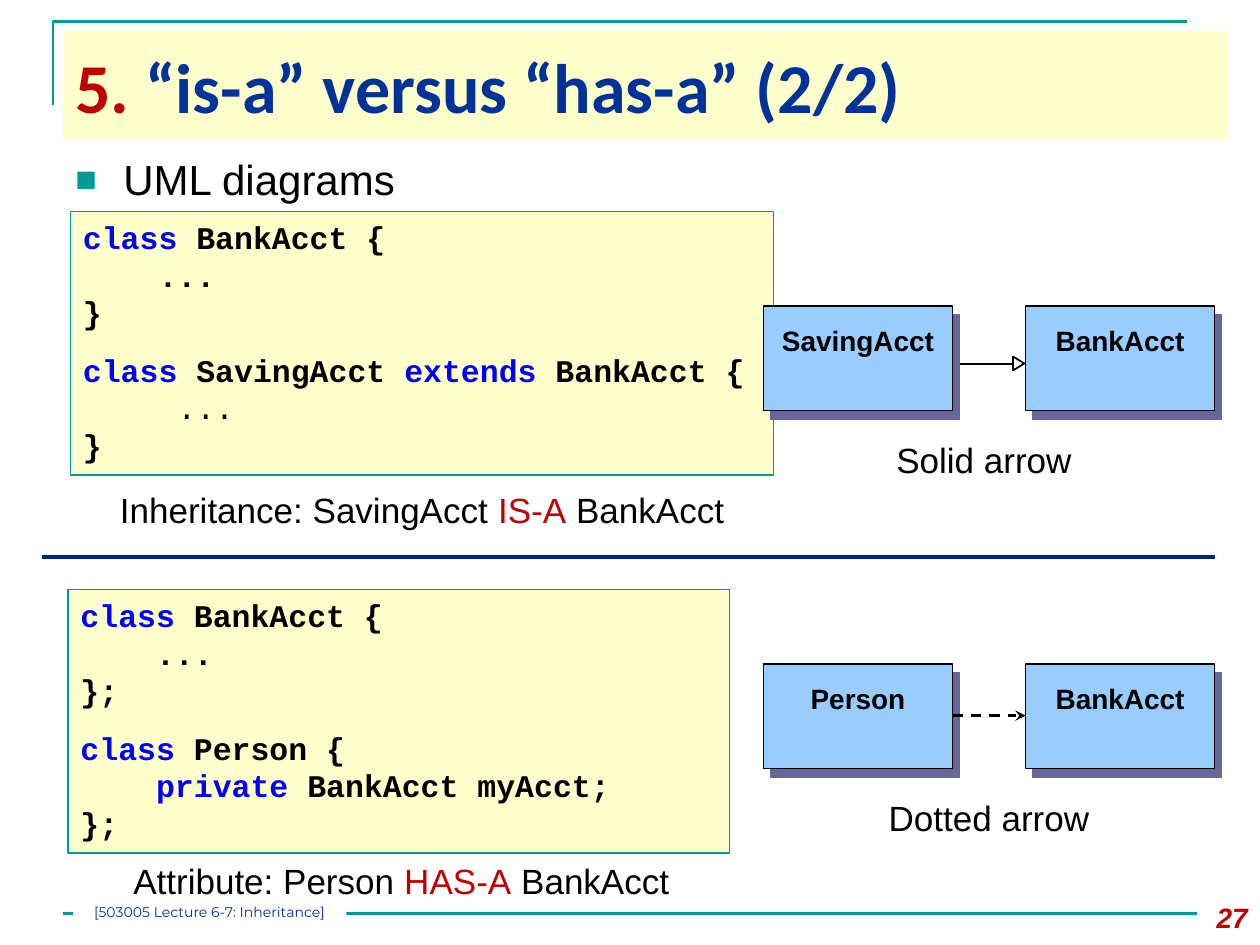
import lxml.etree
import pptx
import pptx.dml.color
import pptx.enum.dml
import pptx.enum.shapes
import pptx.enum.text
import pptx.oxml
import pptx.oxml.ns
import pptx.util

Inches = pptx.util.Inches
Pt = pptx.util.Pt
qn = pptx.oxml.ns.qn
SHAPE = pptx.enum.shapes.MSO_SHAPE
ALIGN = pptx.enum.text.PP_ALIGN
ANCHOR = pptx.enum.text.MSO_ANCHOR
DASH = pptx.enum.dml.MSO_LINE

COLORS = {
    "teal": "009999", "cream": "FFFFCC", "red": "C00000", "navy": "003399",
    "rule": "002672", "blue": "0000FF", "sky": "99CCFF", "shade": "666699",
    "black": "000000", "white": "FFFFFF",
}
FONTS = {
    "title": {"name": "Calibri", "size": Pt(40), "bold": True},
    "body": {"name": "Arial", "size": Pt(24)},
    "code": {"name": "Courier New", "size": Pt(18), "bold": True},
    "note": {"name": "Arial", "size": Pt(20)},
    "label": {"name": "Arial", "size": Pt(16), "bold": True},
    "page": {"name": "Arial", "size": Pt(16), "bold": True, "italic": True},
    "foot": {"name": "Montserrat", "size": Pt(8)},
}
BULLET = (
    ("buClr", {}), ("buSzPct", {"val": "85000"}),
    ("buFont", {"typeface": "Arial"}), ("buChar", {"char": "■"}),
)


def add_xml(parent, tag, **attrs):
    return lxml.etree.SubElement(parent, qn("a:" + tag), attrs)


def set_all(target, values):
    for key, value in values.items():
        setattr(target, key, value)


class Painter:
    """Holds the current slide and draws each kind of element in one style."""

    def __init__(self, slide):
        self.slide = slide
        self.shapes = slide.shapes

    def tint(self, name):
        return pptx.dml.color.RGBColor.from_string(COLORS[name])

    def stroke(self, line, color, width):
        line.color.rgb = self.tint(color)
        line.width = Pt(width)

    def box(self, place, fill, line=None, width=0.75, kind=SHAPE.RECTANGLE):
        shape = self.shapes.add_shape(kind, *map(Inches, place))
        shape.shadow.inherit = False
        shape.fill.solid()
        shape.fill.fore_color.rgb = self.tint(fill)
        if line:
            self.stroke(shape.line, line, width)
        else:
            shape.line.fill.background()
        return shape

    def text(self, place, lines, font, color="black", align=ALIGN.LEFT,
             wrap=True, shape=None, pad=(0.1, 0.05), anchor=ANCHOR.TOP):
        """Each line is a list of runs: a string, or a (string, color) pair."""
        shape = shape or self.shapes.add_textbox(*map(Inches, place))
        frame = shape.text_frame
        side, edge = map(Inches, pad)
        set_all(frame, {
            "word_wrap": wrap, "vertical_anchor": anchor,
            "margin_left": side, "margin_right": side,
            "margin_top": edge, "margin_bottom": edge,
        })
        for index, runs in enumerate(lines):
            para = frame.add_paragraph() if index else frame.paragraphs[0]
            para.alignment = align
            for item in runs:
                words, shade = (item, color) if isinstance(item, str) else item
                run = para.add_run()
                run.text = words
                set_all(run.font, FONTS[font])
                run.font.color.rgb = self.tint(shade)
        return frame

    def bullet(self, place, words):
        para = self.text(place, [[words]], "body").paragraphs[0]
        props = para._p.get_or_add_pPr()
        set_all_xml = {"marL": Inches(0.38), "indent": Inches(-0.38)}
        for key, value in set_all_xml.items():
            props.set(key, str(int(value)))
        for tag, attrs in BULLET:
            node = add_xml(props, tag, **attrs)
            if tag == "buClr":
                add_xml(node, "srgbClr", val=COLORS["teal"])

    def code(self, place, blocks):
        """Draws blocks of code lines, with a gap before each later block."""
        lines = [line for block in blocks for line in block]
        shape = self.box(place, "cream", "teal")
        frame = self.text(place, lines, "code", shape=shape)
        frame.paragraphs[len(blocks[0])].space_before = Pt(11)

    def note(self, place, *runs):
        self.text(place, [runs], "note", align=ALIGN.CENTER)

    def entity(self, left, top, name):
        """Draws a class box with a hard shadow and its name."""
        shape = self.box((left, top, 1.5, 0.83), "sky", "black",
                         kind=SHAPE.ROUNDED_RECTANGLE)
        shape.adjustments[0] = 0
        effects = shape._element.spPr.find(qn("a:effectLst"))
        shadow = add_xml(effects, "outerShdw", dist=str(int(Pt(6.4))),
                         dir=str(51 * 60000), algn="ctr", rotWithShape="0")
        add_xml(shadow, "srgbClr", val=COLORS["shade"])
        self.text((left, top + 0.09, 1.5, 0.37), [[name]], "label",
                  align=ALIGN.CENTER, wrap=False)

    def line(self, start, end, color, width, dash=None, tip=None):
        ends = map(Inches, (*start, *end))
        link = self.shapes.add_connector(
            pptx.enum.shapes.MSO_CONNECTOR.STRAIGHT, *ends)
        self.stroke(link.line, color, width)
        if dash:
            link.line.dash_style = dash
        if tip:
            add_xml(link.line._get_or_add_ln(), "tailEnd", type=tip)
        add_xml(link._element.spPr, "effectLst")

    def corner(self, points, color, width):
        start, *rest = [tuple(map(Inches, point)) for point in points]
        build = self.shapes.build_freeform(*start)
        build.add_line_segments(rest, close=False)
        shape = build.convert_to_shape()
        shape.shadow.inherit = False
        shape.fill.background()
        self.stroke(shape.line, color, width)


def main():
    deck = pptx.Presentation()
    deck.slide_width, deck.slide_height = Inches(10), Inches(7.5)
    paint = Painter(deck.slides.add_slide(deck.slide_layouts[6]))

    paint.corner([(0.42, 0.83), (0.42, 0.17), (9.42, 0.17)], "teal", 1.5)
    paint.line((0.5, 7.25), (9.5, 7.25), "teal", 1.5)
    title = (0.5, 0.25, 9.25, 0.86)
    paint.text(title, [[("5. ", "red"), "“is-a” versus “has-a” (2/2)"]],
               "title", "navy", shape=paint.box(title, "cream"),
               anchor=ANCHOR.MIDDLE)
    paint.text((9.33, 7.1, 0.67, 0.4), [["27"]], "page", "red", ALIGN.RIGHT)
    paint.bullet((0.5, 1.17, 9.25, 0.67), "UML diagrams")

    start = ("class", "blue")
    paint.code((0.56, 1.68, 5.58, 2.09), [
        [[start, " BankAcct {"], ["    ..."], ["}"]],
        [[start, " SavingAcct ", ("extends", "blue"), " BankAcct {"],
         ["     ..."], ["}"]],
    ])
    paint.shapes[-1].text_frame.paragraphs[4].runs[0].font.bold = False
    paint.note((0.56, 3.83, 5.58, 0.44),
               "Inheritance: SavingAcct ", ("IS-A", "red"), " BankAcct")
    paint.code((0.54, 4.68, 5.25, 2.09), [
        [[start, " BankAcct {"], ["    ..."], ["};"]],
        [[start, " Person {"],
         [("    private ", "blue"), "BankAcct myAcct;"], ["};"]],
    ])
    paint.note((0.56, 6.77, 5.25, 0.44),
               "Attribute: Person ", ("HAS-A", "red"), " BankAcct")

    paint.line((0.33, 4.42), (9.64, 4.42), "rule", 2.25)
    foot = (0.58, 7.17, 2.17, 0.18)
    paint.text(foot, [["[503005 Lecture 6-7: Inheritance]"]], "foot", "navy",
               ALIGN.CENTER, shape=paint.box(foot, "white"), pad=(0, 0))

    paint.line((7.51, 2.89), (8.07, 2.89), "black", 1)
    head = paint.box((8.03, 2.84, 0.11, 0.09), "white", "black", 1,
                     SHAPE.ISOSCELES_TRIANGLE)
    head.rotation = 90
    for top, name in ((2.43, "SavingAcct"), (5.27, "Person")):
        paint.entity(6.06, top, name)
        paint.entity(8.14, top, "BankAcct")
    paint.line((7.56, 5.68), (8.14, 5.68), "black", 1.5, DASH.DASH, "stealth")
    paint.note((6.81, 3.43, 2, 0.44), "Solid arrow")
    paint.note((6.81, 6.27, 2.08, 0.44), "Dotted arrow")

    deck.save("out.pptx")


if __name__ == "__main__":
    main()
